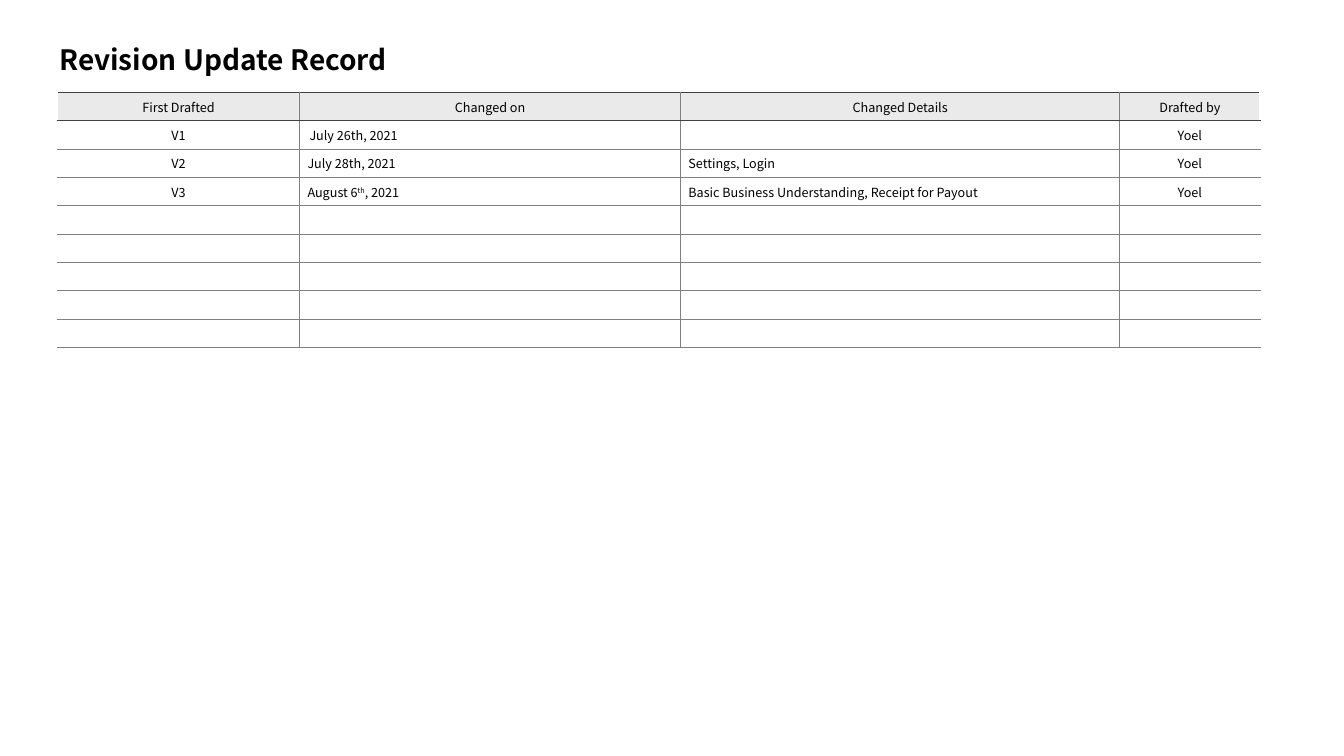
from lxml.etree import SubElement
from pptx import Presentation
from pptx.dml.color import RGBColor
from pptx.enum.text import MSO_ANCHOR, MSO_AUTO_SIZE, PP_ALIGN
from pptx.oxml.ns import qn
from pptx.util import Cm, Pt

FONT = "Noto Sans CJK KR"
COLORS = {"text": "000000", "header": "EAEAEA", "page": "FFFFFF",
          "rule": "404040", "grid": "808080"}
COLUMN_WIDTHS = [6.1, 9.6, 11.07, 3.53]
ROW_COUNT = 9
RECORDS = [
    ["First Drafted", "Changed on", "Changed Details", "Drafted by"],
    ["V1", "July 26th, 2021", "", "Yoel"],
    ["V2", "July 28th, 2021", "Settings, Login", "Yoel"],
    ["V3", "August 6^th^, 2021",
     "Basic Business Understanding, Receipt for Payout", "Yoel"],
]


def style_font(font, size, bold=False):
    """Apply the slide's typeface and text colour."""
    font.name = FONT
    font.size = Pt(size)
    font.bold = bold
    font.color.rgb = RGBColor.from_string(COLORS["text"])


def add_title(slide, left, top, width, height):
    """Place the slide heading in its placeholder."""
    title = slide.shapes.title
    title.left, title.top, title.width, title.height = left, top, width, height
    frame = title.text_frame
    frame.text = "Revision Update Record"
    frame.auto_size = MSO_AUTO_SIZE.NONE
    frame.word_wrap = True
    frame.vertical_anchor = MSO_ANCHOR.BOTTOM
    heading = frame.paragraphs[0]
    heading.alignment = PP_ALIGN.LEFT
    style_font(heading.font, 20, bold=True)


def set_borders(cell, row, column):
    """Draw the four borders that suit the cell's place in the grid."""
    grid, rule = (COLORS["grid"], 0.75), (COLORS["rule"], 0.75)
    outer = (COLORS["page"], 1.5)
    borders = {
        "a:lnL": outer if column == 0 else grid,
        "a:lnR": outer if column == len(COLUMN_WIDTHS) - 1 else grid,
        "a:lnT": {0: (COLORS["rule"], 1.5), 1: rule}.get(row, grid),
        "a:lnB": rule if row == 0 else grid,
    }
    properties = cell._tc.get_or_add_tcPr()
    for position, (side, (color, weight)) in enumerate(borders.items()):
        line = SubElement(properties, qn(side), w=str(Pt(weight)))
        fill = SubElement(line, qn("a:solidFill"))
        SubElement(fill, qn("a:srgbClr"), val=color)
        properties.insert(position, line)


def fill_cell(cell, wording, row, column):
    """Write one entry, with text between carets raised."""
    cell.fill.solid()
    cell.fill.fore_color.rgb = RGBColor.from_string(
        COLORS["header" if row == 0 else "page"])
    set_borders(cell, row, column)
    cell.vertical_anchor = MSO_ANCHOR.MIDDLE
    cell.margin_left = cell.margin_right = Cm(0.25 if row < 2 else 0.2)
    cell.margin_top = cell.margin_bottom = 0
    entry = cell.text_frame.paragraphs[0]
    centered = row == 0 or column in (0, 3)
    entry.alignment = PP_ALIGN.CENTER if centered else PP_ALIGN.LEFT
    style_font(entry.font, 9)
    if not wording:
        SubElement(entry._p, qn("a:endParaRPr"), sz="900")
        return
    for index, part in enumerate(wording.split("^")):
        run = entry.add_run()
        run.text = part
        if index % 2:
            run._r.get_or_add_rPr().set("baseline", "30000")


def add_revision_table(slide, left, top, width, height):
    """Build the revision history grid, blank rows included."""
    table = slide.shapes.add_table(
        ROW_COUNT, len(COLUMN_WIDTHS), left, top, width, height).table
    table.first_row = table.horz_banding = False
    for column, column_width in zip(table.columns, COLUMN_WIDTHS):
        column.width = Cm(column_width)
    blank = [""] * len(COLUMN_WIDTHS)
    for row in range(ROW_COUNT):
        table.rows[row].height = height // ROW_COUNT
        record = RECORDS[row] if row < len(RECORDS) else blank
        for column, wording in enumerate(record):
            fill_cell(table.cell(row, column), wording, row, column)


def main():
    """Create the revision record slide."""
    deck = Presentation()
    deck.slide_width, deck.slide_height = Cm(33.87), Cm(19.05)
    slide = deck.slides.add_slide(deck.slide_layouts[5])
    add_revision_table(slide, Cm(1.45), Cm(2.33), Cm(sum(COLUMN_WIDTHS)), Cm(6.43))
    add_title(slide, Cm(1.24), Cm(0.91), Cm(24.97), Cm(1.14))
    deck.save("out.pptx")


if __name__ == "__main__":
    main()
